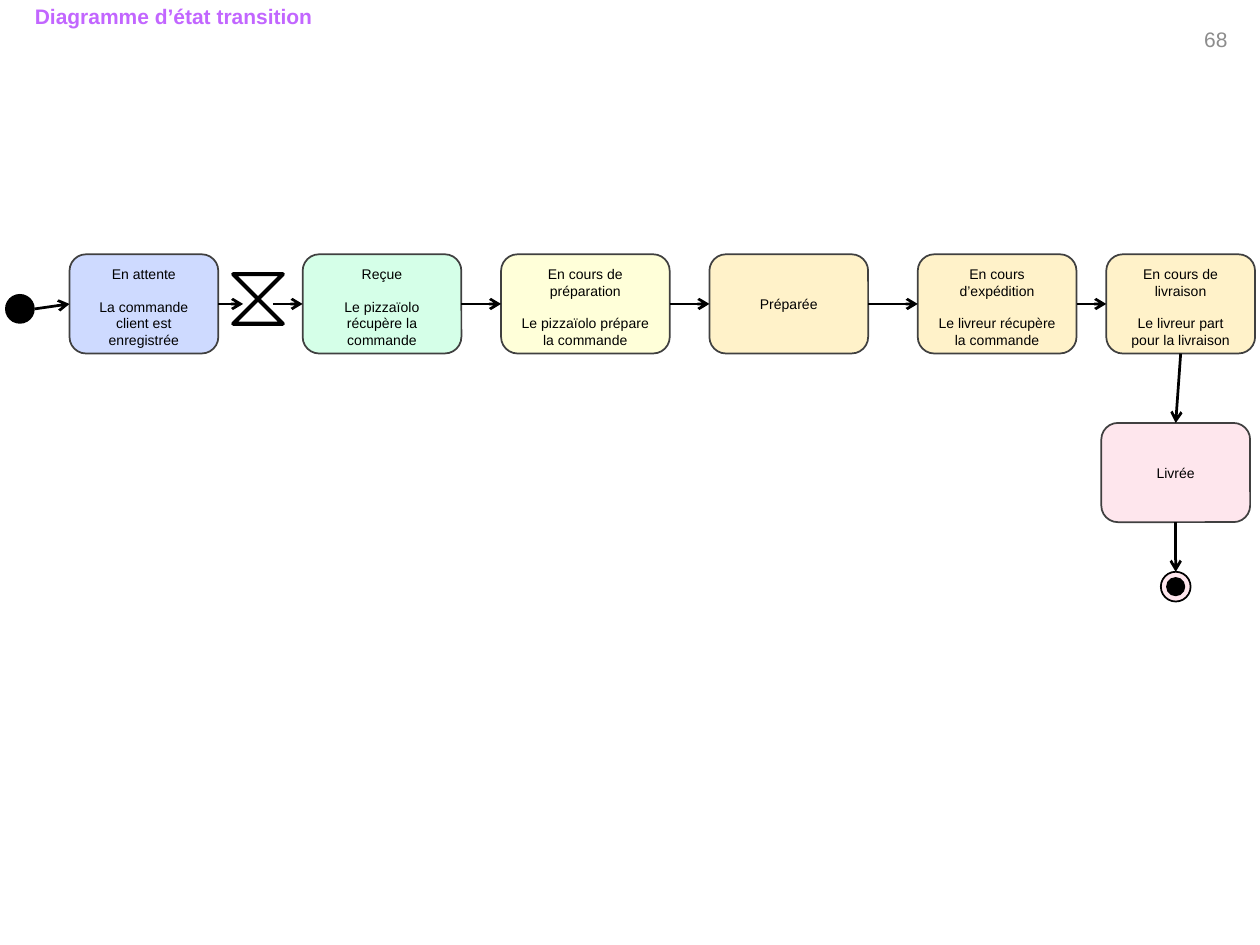
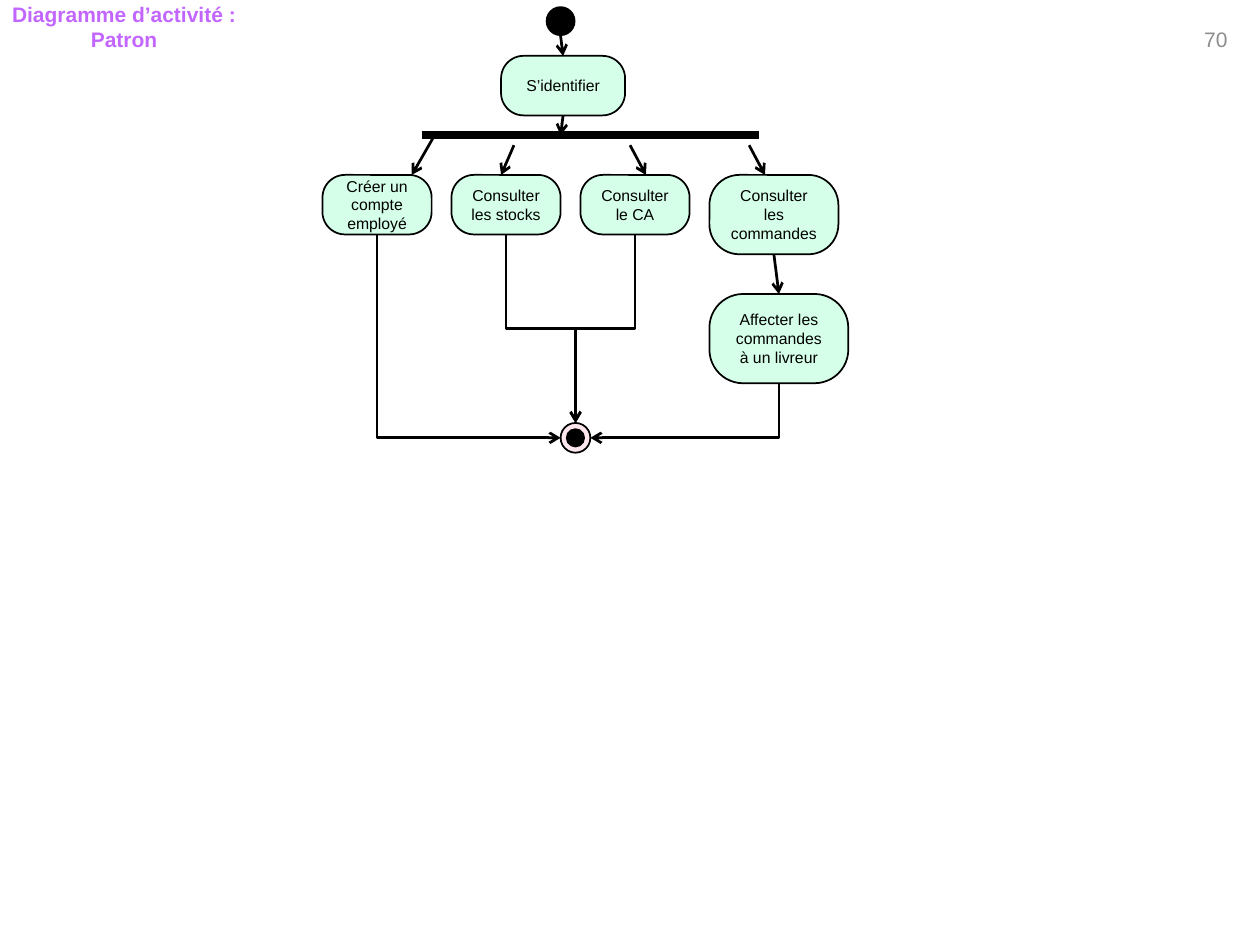
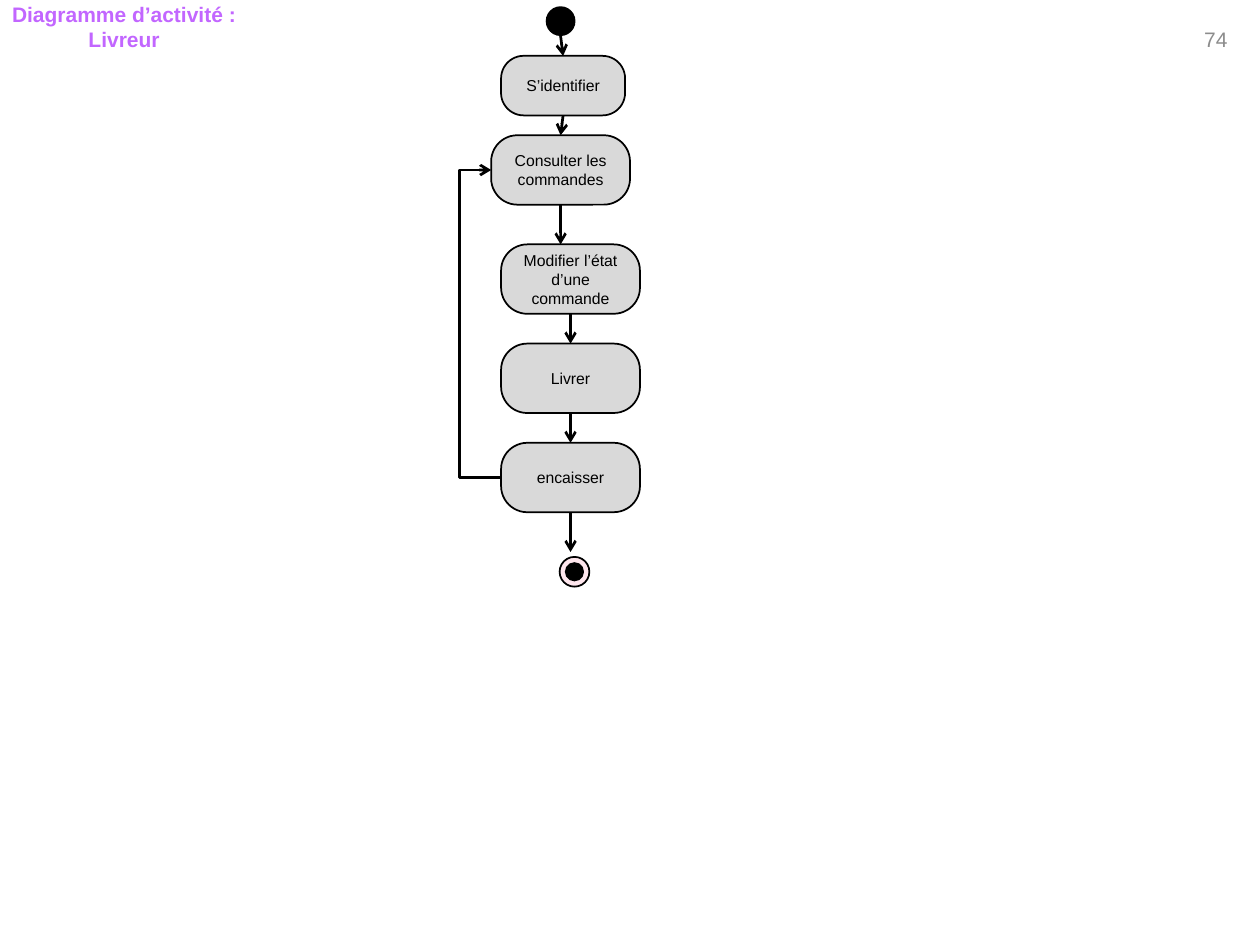
"""Build three UML slides: one state diagram and two activity diagrams on a 2 mm grid."""
from dataclasses import dataclass

from lxml.etree import SubElement
from pptx import Presentation
from pptx.dml.color import RGBColor as RGB
from pptx.enum.shapes import MSO_CONNECTOR as Link, MSO_SHAPE as Shape
from pptx.enum.text import MSO_ANCHOR as Anchor, MSO_AUTO_SIZE as Fit, PP_ALIGN as Align
from pptx.oxml.ns import qn
from pptx.util import Emu, Inches, Mm, Pt


@dataclass(frozen=True)
class Theme:
    font: str = "Arial"
    black: str = "000000"
    frame: str = "404040"
    title: str = "C266FF"
    number: str = "8C8C8C"
    blue: str = "CEDAFF"
    mint: str = "D5FFE8"
    yellow: str = "FFFFD9"
    sand: str = "FFF2C9"
    pink: str = "FEE6ED"
    grey: str = "D9D9D9"
    heading: float = 12
    state: float = 8
    activity: float = 9
    thin: float = 1
    arrow: float = 1.57
    timer: float = 2.36
    bar: float = 4.5


T = Theme()
CELL, LEFT, TOP = Mm(2), Inches(0.04), Inches(0.05)
WIDE, HIGH = Inches(10), Inches(7.5)
STATE = dict(size=T.state, line=T.frame, adj=None)
ACTIVITY = dict(size=T.activity, line=T.black, adj=0.378)

SLIDES = [
    dict(
        title=["Diagramme d’état transition"], title_at=(-11, -0.9, 56, 3.8), number="68", style=STATE,
        nodes={
            "attente": (6.5, 25, 15, 10, T.blue, ["En attente", "La commande client est enregistrée"]),
            "reçue": (30, 25, 16, 10, T.mint, ["Reçue", "Le pizzaïolo récupère la commande"]),
            "préparation": (50, 25, 17, 10, T.yellow,
                            ["En cours de préparation", "Le pizzaïolo prépare la commande"]),
            "préparée": (71, 25, 16, 10, T.sand, ["Préparée"]),
            "expédition": (92, 25, 16, 10, T.sand,
                           ["En cours d’expédition", "Le livreur récupère la commande"]),
            "livraison": (111, 25, 15, 10, T.sand,
                          ["En cours de livraison", "Le livreur part pour la livraison"]),
            "livrée": (110.5, 42, 15, 10, T.pink, ["Livrée"]),
        },
        start=(0, 29), end=(116.5, 57), timer=(23, 27, 5, 5),
        arrows=[
            ("start.right", "attente.left"), ("attente.right", (24, 30)), ((27, 30), "reçue.left"),
            ("reçue.right", "préparation.left"), ("préparation.right", "préparée.left"),
            ("préparée.right", "expédition.left"), ("expédition.right", "livraison.left"),
            ("livraison.bottom", "livrée.top"), ("livrée.bottom", "end.top"),
        ],
    ),
    dict(
        title=["Diagramme d’activité :", "Patron"], title_at=(-16, -1.1, 56, 6.4), number="70", style=ACTIVITY,
        nodes={
            "identifier": (50, 5, 12.5, 6, T.mint, ["S’identifier"]),
            "compte": (32, 17, 11, 6, T.mint, ["Créer un compte employé"]),
            "stocks": (45, 17, 11, 6, T.mint, ["Consulter les stocks"]),
            "ca": (58, 17, 11, 6, T.mint, ["Consulter le CA"]),
            "commandes": (71, 17, 13, 8, T.mint, ["Consulter les commandes"]),
            "affecter": (71, 29, 14, 9, T.mint, ["Affecter les commandes à un livreur"]),
        },
        start=(54.5, 0), end=(56, 42), bar=((42, 13), (76, 13)),
        arrows=[
            ("start.bottom", "identifier.top"), ("identifier.bottom", (56, 13)),
            ((43.3, 13), (41, 17)), ((51.3, 14), (50, 17)), ((63, 14), (64.6, 17)), ((75, 14), (76.6, 17)),
            ("commandes.bottom", "affecter.top"),
        ],
        elbows=[
            ("affecter.bottom", "end.right", 2, None), ("compte.bottom", "end.left", 2, None),
            ("stocks.bottom", "end.top", 3, 0.5), ("ca.bottom", "end.top", 3, 0.5),
        ],
    ),
    dict(
        title=["Diagramme d’activité :", "Livreur"], title_at=(-16, -1.1, 56, 6.4), number="74", style=ACTIVITY,
        nodes={
            "identifier": (50, 5, 12.5, 6, T.grey, ["S’identifier"]),
            "consulter": (49, 13, 14, 7, T.grey, ["Consulter les commandes"]),
            "modifier": (50, 24, 14, 7, T.grey, ["Modifier l’état d’une commande"]),
            "livrer": (50, 34, 14, 7, T.grey, ["Livrer"]),
            "encaisser": (50, 44, 14, 7, T.grey, ["encaisser"]),
        },
        start=(54.5, 0), end=(55.9, 55.5),
        arrows=[
            ("start.bottom", "identifier.top"), ("identifier.bottom", "consulter.top"),
            ("consulter.bottom", (56, 24)), ("modifier.bottom", "livrer.top"),
            ("livrer.bottom", "encaisser.top"), ("encaisser.bottom", (57, 55)),
        ],
        elbows=[("encaisser.left", "consulter.left", 3, 4.175)],
    ),
]


def spot(col, row):
    return Emu(round(LEFT + col * CELL)), Emu(round(TOP + row * CELL))


def place(col, row, cols, rows):
    return *spot(col, row), Emu(round(cols * CELL)), Emu(round(rows * CELL))


def write(tf, lines, size, color, bold=False, gap=0, **frame):
    for name, value in dict(word_wrap=True, **frame).items():
        setattr(tf, name, value)
    for i, line in enumerate(lines):
        p = tf.paragraphs[0] if i == 0 else tf.add_paragraph()
        p.alignment = Align.CENTER
        p.space_before = Pt(gap if i else 0)
        r = p.add_run()
        r.text = line
        for name, value in dict(name=T.font, size=Pt(size), bold=bold).items():
            setattr(r.font, name, value)
        r.font.color.rgb = RGB.from_string(color)


def draw(shapes, kind, box, fill=None, line=None, width=T.thin, adj=None):
    sp = shapes.add_shape(kind, *box)
    sp.shadow.inherit = False
    for part, color in ((sp.fill, fill), (sp.line.fill, line)):
        if color:
            part.solid()
            part.fore_color.rgb = RGB.from_string(color)
        else:
            part.background()
    if line:
        sp.line.width = Pt(width)
    if adj is not None:
        sp.adjustments[0] = adj
    return sp


def connect(s, kind, begin, end, width=T.arrow, head=True):
    c = s.shapes.add_connector(kind, *begin, *end)
    c.line.width = Pt(width)
    c.line.color.rgb = RGB.from_string(T.black)
    if head:
        SubElement(c.line._get_or_add_ln(), qn("a:tailEnd"), type="arrow")
    SubElement(c._element.spPr, qn("a:effectLst"))
    return c


def elbow(s, begin, end, segments, bend, vertical):
    (x1, y1), (x2, y2) = begin, end
    w, h = abs(x2 - x1), abs(y2 - y1)
    if vertical:
        w, h = h, w
    left, top = (x1 + x2 - w) // 2, (y1 + y2 - h) // 2
    c = connect(s, Link.ELBOW, (left, top), (left + w, top + h))
    turn = (90 if x2 < x1 else 270) if vertical else 180
    xfrm = c._element.spPr.find(qn("a:xfrm"))
    xfrm.set("rot", str(turn * 60000))
    if turn == 270:
        xfrm.set("flipH", "1")
    geom = c._element.spPr.find(qn("a:prstGeom"))
    geom.set("prst", f"bentConnector{segments}")
    if bend is not None:
        SubElement(geom.find(qn("a:avLst")), qn("a:gd"), name="adj1", fmla=f"val {round(bend * 100000)}")


def port(boxes, ref):
    if isinstance(ref, tuple):
        return spot(*ref)
    name, side = ref.split(".")
    x, y, w, h = boxes[name]
    dx, dy = dict(left=(0, 0.5), right=(1, 0.5), top=(0.5, 0), bottom=(0.5, 1))[side]
    return spot(x + dx * w, y + dy * h)


def build(s, title, title_at, number, style, nodes, start, end, arrows, elbows=(), timer=None, bar=None):
    badge = draw(s.shapes, Shape.ROUNDED_RECTANGLE, (WIDE * 93 // 100, 0, WIDE * 7 // 100, Inches(0.62)))
    write(badge.text_frame, [number], T.heading, T.number, vertical_anchor=Anchor.MIDDLE)
    tb = s.shapes.add_textbox(*place(*title_at))
    write(tb.text_frame, title, T.heading, T.title, bold=True, auto_size=Fit.SHAPE_TO_FIT_TEXT)

    boxes = {name: node[:4] for name, node in nodes.items()}
    boxes.update(start=(*start, 3, 3), end=(*end, 3, 3))
    for name, (*_, fill, lines) in nodes.items():
        sp = draw(s.shapes, Shape.ROUNDED_RECTANGLE, place(*boxes[name]), fill, style["line"], adj=style["adj"])
        anchor = Anchor.TOP if len(lines) > 1 else Anchor.MIDDLE
        write(sp.text_frame, lines, style["size"], T.black, gap=9.2, vertical_anchor=anchor)

    draw(s.shapes, Shape.OVAL, place(*boxes["start"]), T.black)
    final = s.shapes.add_group_shape().shapes
    draw(final, Shape.OVAL, place(*boxes["end"]), T.black)
    draw(final, Shape.DONUT, place(*boxes["end"]), T.pink, T.black, adj=0.208)
    if timer:
        draw(s.shapes, Shape.FLOWCHART_COLLATE, place(*timer), line=T.black, width=T.timer)
    if bar:
        connect(s, Link.STRAIGHT, *(spot(*point) for point in bar), width=T.bar, head=False)
    for a, b in arrows:
        connect(s, Link.STRAIGHT, port(boxes, a), port(boxes, b))
    for a, b, segments, bend in elbows:
        elbow(s, port(boxes, a), port(boxes, b), segments, bend, a.endswith("bottom"))


prs = Presentation()
prs.slide_width, prs.slide_height = WIDE, HIGH
for content in SLIDES:
    build(prs.slides.add_slide(prs.slide_layouts[6]), **content)
prs.save("out.pptx")
